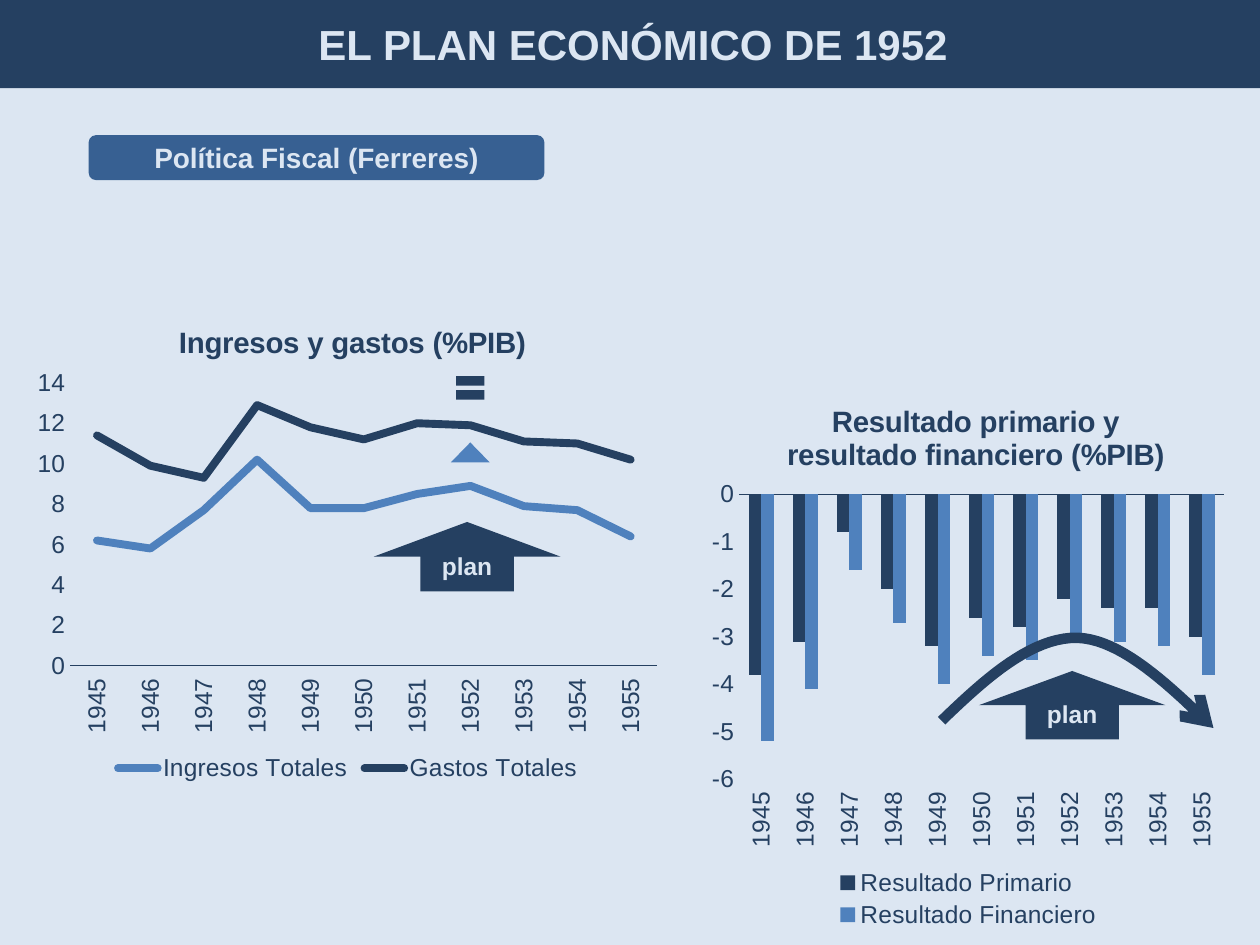
from dataclasses import dataclass

from lxml import etree
from pptx import Presentation
from pptx.chart.data import CategoryChartData
from pptx.dml.color import RGBColor
from pptx.enum.chart import XL_CHART_TYPE, XL_LEGEND_POSITION, XL_TICK_LABEL_POSITION, XL_TICK_MARK
from pptx.enum.shapes import MSO_SHAPE
from pptx.enum.text import MSO_ANCHOR, PP_ALIGN
from pptx.oxml.ns import qn
from pptx.util import Inches, Pt

LINE, COLUMN = XL_CHART_TYPE.LINE, XL_CHART_TYPE.COLUMN_CLUSTERED
BOTTOM, LOW, NO_TICK = XL_LEGEND_POSITION.BOTTOM, XL_TICK_LABEL_POSITION.LOW, XL_TICK_MARK.NONE
ROUNDED, UP_ARROW = MSO_SHAPE.ROUNDED_RECTANGLE, MSO_SHAPE.UP_ARROW
TRIANGLE, EQUAL = MSO_SHAPE.ISOSCELES_TRIANGLE, MSO_SHAPE.MATH_EQUAL
MIDDLE, CENTER = MSO_ANCHOR.MIDDLE, PP_ALIGN.CENTER
COLUMNS, ROWS = 100, 75
SLIDE_WIDTH, SLIDE_HEIGHT = Inches(10), Inches(7.5)
YEARS = [str(year) for year in range(1945, 1956)]


@dataclass(frozen=True)
class Theme:
    """Colours, font and type sizes of the slide."""
    navy: RGBColor = RGBColor.from_string("254061")
    steel: RGBColor = RGBColor.from_string("376092")
    blue: RGBColor = RGBColor.from_string("4F81BD")
    pale: RGBColor = RGBColor.from_string("DCE6F2")
    font: str = "Arial"
    heading: float = 24
    topic: float = 16
    chart_title: float = 16.8
    body: float = 14
    curve: float = 6
    series: float = 4.5
    axis: float = 0.75


THEME = Theme()


@dataclass(frozen=True)
class Box:
    """A rectangle in grid columns and rows."""
    left: float
    top: float
    width: float
    height: float

    def point(self, x, y):
        """Return the slide position of a share of the box."""
        return (int(SLIDE_WIDTH * (self.left + self.width * x) / COLUMNS),
                int(SLIDE_HEIGHT * (self.top + self.height * y) / ROWS))

    def frame(self):
        """Return left, top, width and height in slide units."""
        left, top = self.point(0, 0)
        right, bottom = self.point(1, 1)
        return left, top, right - left, bottom - top

    def inset(self, x, y, width, height):
        """Return a box given by shares of this one."""
        return Box(self.left + self.width * x, self.top + self.height * y,
                   self.width * width, self.height * height)


def style_font(font, size, color, bold=False):
    """Set the theme font with a size, colour and weight."""
    font.name, font.size, font.bold = THEME.font, Pt(size), bold
    font.color.rgb = color


def add_block(page, kind, box, fill, text="", size=THEME.body):
    """Place a filled shape with an optional centred label."""
    shape = page.shapes.add_shape(kind, *box.frame())
    shape.shadow.inherit = False
    shape.fill.solid()
    shape.fill.fore_color.rgb = fill
    shape.line.fill.background()
    if text:
        shape.text_frame.vertical_anchor = MIDDLE
        para = shape.text_frame.paragraphs[0]
        para.alignment = CENTER
        span = para.add_run()
        span.text = text
        style_font(span.font, size, THEME.pale, True)
    return shape


def set_layout(parent, index, inner=False, **shares):
    """Fix a chart element at shares of the chart space."""
    for old in parent.findall(qn("c:layout")):
        parent.remove(old)
    layout = etree.Element(qn("c:layout"))
    manual = etree.SubElement(layout, qn("c:manualLayout"))
    if inner:
        etree.SubElement(manual, qn("c:layoutTarget")).set("val", "inner")
    for name in ("x", "y"):
        etree.SubElement(manual, qn(f"c:{name}Mode")).set("val", "edge")
    for name, share in shares.items():
        etree.SubElement(manual, qn(f"c:{name}")).set("val", str(share))
    parent.insert(index, layout)


def style_axes(chart, low, high, step):
    """Give both axes their scale, labels and lines."""
    category, value = chart.category_axis, chart.value_axis
    for axis in (category, value):
        axis.major_tick_mark = axis.minor_tick_mark = NO_TICK
        axis.has_major_gridlines = False
        style_font(axis.tick_labels.font, THEME.body, THEME.navy)
    category.tick_label_position = LOW
    category.format.line.color.rgb = THEME.navy
    category.format.line.width = Pt(THEME.axis)
    category._element.find(qn("c:txPr")).find(qn("a:bodyPr")).set("rot", "-5400000")
    value.minimum_scale, value.maximum_scale, value.major_unit = low, high, step
    value.format.line.fill.background()
    value.tick_labels.number_format = "#,##0"
    value.tick_labels.number_format_is_linked = False


def add_chart(page, box, kind, title, series, scale, title_at, plot_at, legend_at):
    """Place a titled chart whose series are (name, colour, values)."""
    data = CategoryChartData()
    data.categories = YEARS
    for name, _, values in series:
        data.add_series(name, values)
    chart = page.shapes.add_chart(kind, *box.frame(), data).chart
    style_font(chart.font, THEME.body, THEME.navy)
    chart.has_title = True
    span = chart.chart_title.text_frame.paragraphs[0].add_run()
    span.text = title
    style_font(span.font, THEME.chart_title, THEME.navy, True)
    chart.has_legend = True
    chart.legend.position = BOTTOM
    chart.legend.include_in_layout = False
    style_font(chart.legend.font, THEME.body, THEME.navy)
    style_axes(chart, *scale)
    plot = chart.plots[0]
    plot.vary_by_categories = False
    if kind == COLUMN:
        plot.gap_width, plot.overlap = 150, 0
    for item, (_, color, _) in zip(plot.series, series):
        if kind == LINE:
            item.smooth = False
            item.format.line.color.rgb = color
            item.format.line.width = Pt(THEME.series)
            item.format.line._get_or_add_ln().set("cap", "rnd")
        else:
            item.invert_if_negative = False
            item.format.fill.solid()
            item.format.fill.fore_color.rgb = color
    set_layout(chart.chart_title._element, 1, **title_at)
    set_layout(chart._chartSpace.chart.plotArea, 0, True, **plot_at)
    set_layout(chart.legend._element, 1, **legend_at)


def add_curved_arrow(page, box):
    """Draw an arched arrow across the box from two cubic curves."""
    arcs = [((0, 0.92), (0.16, 0.46), (0.33, 0), (0.5, 0.01)),
            ((0.5, 0.01), (0.66, 0.03), (0.83, 0.51), (1, 1))]
    steps = 20
    points = []
    for arc in arcs:
        for step in range(steps + 1):
            t = step / steps
            weights = ((1 - t) ** 3, 3 * t * (1 - t) ** 2, 3 * t * t * (1 - t), t ** 3)
            points.append(box.point(*(sum(w * p[axis] for w, p in zip(weights, arc)) for axis in (0, 1))))
    builder = page.shapes.build_freeform(*points[0])
    builder.add_line_segments(points[1:], close=False)
    curve = builder.convert_to_shape()
    curve.shadow.inherit = False
    curve.fill.background()
    curve.line.color.rgb = THEME.navy
    curve.line.width = Pt(THEME.curve)
    line = curve.line._get_or_add_ln()
    etree.SubElement(line, qn("a:round"))
    etree.SubElement(line, qn("a:tailEnd")).set("type", "arrow")


def add_header(page, box):
    """Place the slide title band and the topic label."""
    band = add_block(page, ROUNDED, box.inset(0, 0, 1, 0.49), THEME.navy,
                     "EL PLAN ECONÓMICO DE 1952", THEME.heading)
    band.adjustments[0] = 0
    add_block(page, ROUNDED, box.inset(0.07, 0.75, 0.36, 0.25), THEME.steel,
              "Política Fiscal (Ferreres)", THEME.topic)


def add_budget(page, box):
    """Place the income and spending chart with its marks."""
    series = [("Ingresos Totales", THEME.blue, (6.2, 5.8, 7.7, 10.2, 7.8, 7.8, 8.5, 8.9, 7.9, 7.7, 6.4)),
              ("Gastos Totales", THEME.navy, (11.4, 9.9, 9.3, 12.9, 11.8, 11.2, 12, 11.9, 11.1, 11, 10.2))]
    add_chart(page, box, LINE, "Ingresos y gastos (%PIB)", series, (0, 14, 2),
              dict(x=0.23, y=0.05), dict(x=0.07, y=0.18, w=0.91, h=0.57),
              dict(x=0.13, y=0.93, w=0.74, h=0.07))
    add_block(page, UP_ARROW, box.inset(0.54, 0.46, 0.29, 0.14), THEME.navy, "plan")
    add_block(page, TRIANGLE, box.inset(0.66, 0.3, 0.06, 0.04), THEME.blue)
    add_block(page, EQUAL, box.inset(0.66, 0.15, 0.06, 0.08), THEME.navy)


def add_balance(page, box):
    """Place the fiscal balance chart with its marks."""
    series = [("Resultado Primario", THEME.navy, (-3.8, -3.1, -0.8, -2, -3.2, -2.6, -2.8, -2.2, -2.4, -2.4, -3)),
              ("Resultado Financiero", THEME.blue, (-5.2, -4.1, -1.6, -2.7, -4, -3.4, -3.5, -3, -3.1, -3.2, -3.8))]
    add_chart(page, box, COLUMN, "Resultado primario y resultado financiero (%PIB)", series, (-6, 0, 1),
              dict(x=0.15, y=0.05), dict(x=0.07, y=0.22, w=0.91, h=0.5),
              dict(x=0.25, y=0.87, w=0.5, h=0.12))
    add_block(page, UP_ARROW, box.inset(0.52, 0.53, 0.35, 0.12), THEME.navy, "plan")
    add_curved_arrow(page, box.inset(0.45, 0.47, 0.51, 0.16))


def main():
    """Build the slide and save it."""
    deck = Presentation()
    deck.slide_width, deck.slide_height = SLIDE_WIDTH, SLIDE_HEIGHT
    page = deck.slides.add_slide(deck.slide_layouts[6])
    page.background.fill.solid()
    page.background.fill.fore_color.rgb = THEME.pale
    add_header(page, Box(0, 0, 100.5, 14.3))
    add_budget(page, Box(2, 23.3, 51.2, 39.4))
    add_balance(page, Box(55.7, 29.3, 42.3, 45.2))
    deck.save("out.pptx")


if __name__ == "__main__":
    main()
